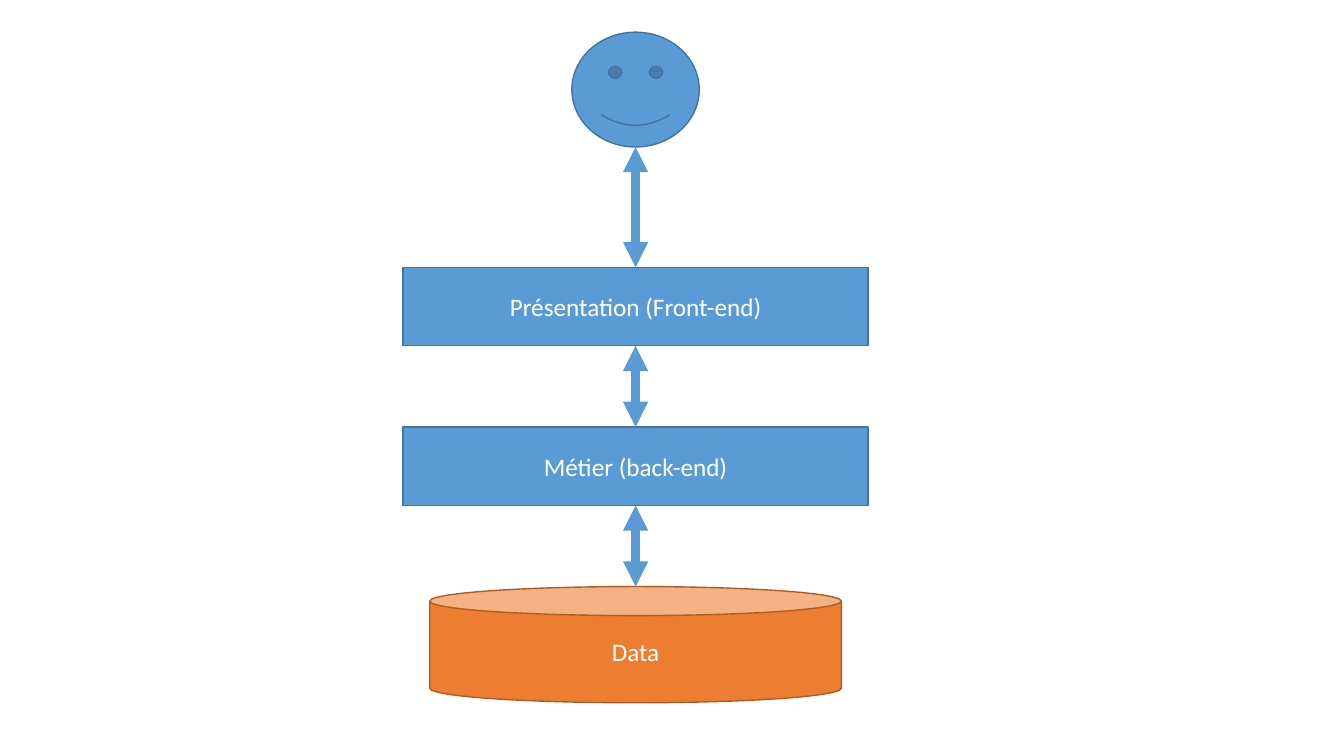
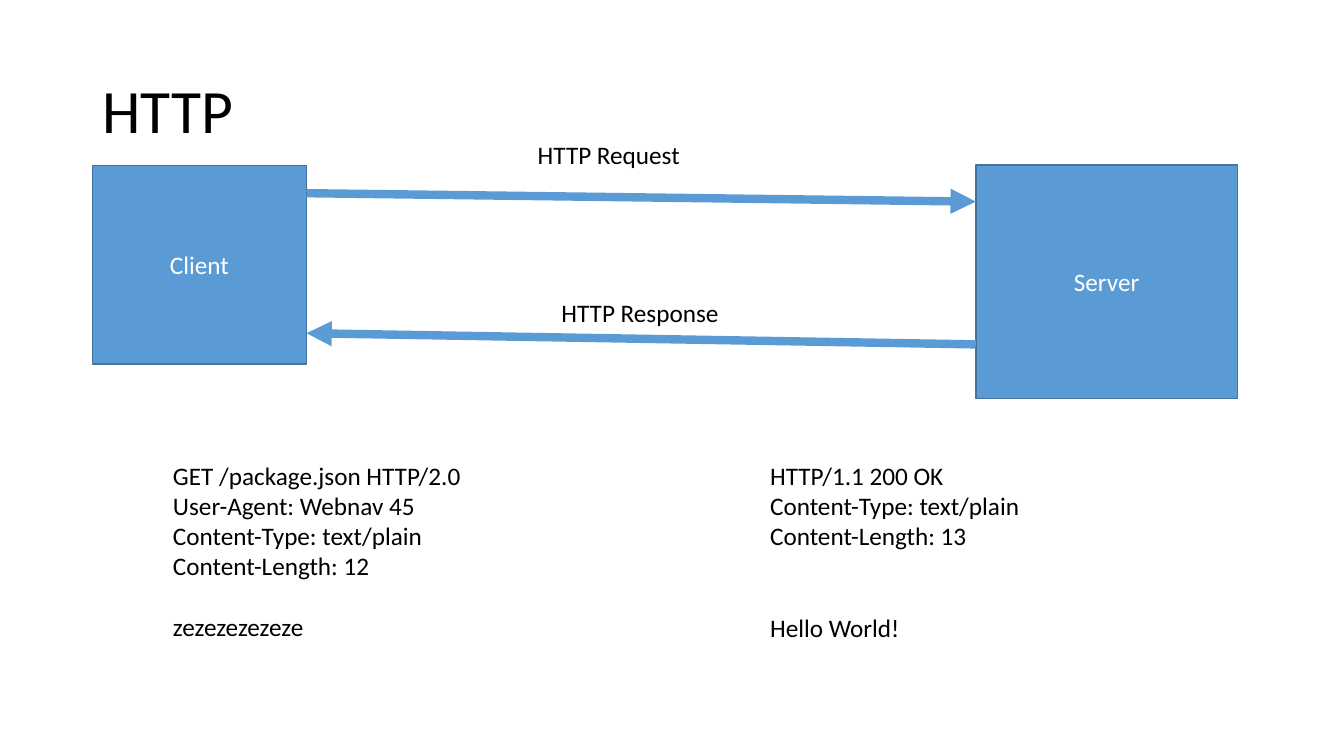
import pptx
import pptx.util
import pptx.dml.color
import pptx.enum.shapes
import pptx.enum.text
import pptx.oxml
import pptx.oxml.ns

Pt = pptx.util.Pt
SHAPE = pptx.enum.shapes.MSO_SHAPE
ALIGN = pptx.enum.text.PP_ALIGN
ANCHOR = pptx.enum.text.MSO_ANCHOR

FONT = "Calibri"
LINE_HEIGHT = 22
COLORS = {
    "blue": "5B9BD5", "blue_edge": "43739E",
    "orange": "ED7D31", "orange_edge": "AF5C24",
    "white": "FFFFFF", "black": "000000",
}

AXIS = 454
LAYERS = [
    (SHAPE.SMILEY_FACE, "", 23, 91, 82, "blue"),
    (SHAPE.RECTANGLE, "Présentation (Front-end)", 191, 332, 56, "blue"),
    (SHAPE.RECTANGLE, "Métier (back-end)", 305, 332, 56, "blue"),
    (SHAPE.CAN, "Data", 419, 294, 83, "orange"),
]

TITLE = ("HTTP", 66, 28.8, 828, 104.4)
HOSTS = [
    ("Client", 66, 118, 153, 142),
    ("Server", 697, 118, 187, 166.5),
]
MESSAGES = [
    ((219, 138), (697, 144)),
    ((697, 246), (219, 238)),
]
NOTES = [
    (377, 96, 117.5, 29, [("HTTP Request", 0)]),
    (394, 209, 128, 29, [("HTTP Response", 0)]),
    (116.5, 325, 222, 138, [
        ("GET /package.json HTTP/2.0", 0),
        ("User-Agent: Webnav 45", 0),
        ("Content-Type: text/plain", 0),
        ("Content-Length: 12", 0),
        ("zezezezezeze", 1),
    ]),
    (543, 325, 195, 138, [
        ("HTTP/1.1 200 OK", 0),
        ("Content-Type: text/plain", 0),
        ("Content-Length: 13", 0),
        ("Hello World!", 2),
    ]),
]


def rgb(name):
    return pptx.dml.color.RGBColor.from_string(COLORS[name])


def add_run(p, text, color, size=18):
    r = p.add_run()
    r.text = text
    r.font.name = FONT
    r.font.size = Pt(size)
    r.font.color.rgb = rgb(color)


def add_block(s, kind, text, x, y, w, h, color="blue"):
    sp = s.shapes.add_shape(kind, Pt(x), Pt(y), Pt(w), Pt(h))
    sp.shadow.inherit = False
    sp.fill.solid()
    sp.fill.fore_color.rgb = rgb(color)
    sp.line.color.rgb = rgb(color + "_edge")
    sp.line.width = Pt(1)
    if text:
        tf = sp.text_frame
        tf.vertical_anchor = ANCHOR.MIDDLE
        p = tf.paragraphs[0]
        p.alignment = ALIGN.CENTER
        add_run(p, text, "white")


def add_arrow(s, start, end, ends=("tailEnd",)):
    points = [Pt(v) for v in start + end]
    cx = s.shapes.add_connector(pptx.enum.shapes.MSO_CONNECTOR.STRAIGHT, *points)
    cx.line.color.rgb = rgb("blue")
    cx.line.width = Pt(6)
    ln = cx.line._get_or_add_ln()
    for end_name in ends:
        ln.append(pptx.oxml.parse_xml(
            f'<a:{end_name} {pptx.oxml.ns.nsdecls("a")} type="triangle"/>'))
    cx._element.spPr.append(pptx.oxml.parse_xml(
        f'<a:effectLst {pptx.oxml.ns.nsdecls("a")}/>'))


def add_note(s, x, y, w, h, lines):
    sp = s.shapes.add_textbox(Pt(x), Pt(y), Pt(w), Pt(h))
    tf = sp.text_frame
    tf.word_wrap = False
    for i, (text, gap) in enumerate(lines):
        p = tf.add_paragraph() if i else tf.paragraphs[0]
        p.space_before = Pt(gap * LINE_HEIGHT)
        add_run(p, text, "black")


def add_title(s, text, x, y, w, h):
    sp = s.shapes.title
    sp.left, sp.top, sp.width, sp.height = Pt(x), Pt(y), Pt(w), Pt(h)
    tf = sp.text_frame
    tf.vertical_anchor = ANCHOR.MIDDLE
    p = tf.paragraphs[0]
    p.alignment = ALIGN.LEFT
    p.line_spacing = 0.9
    add_run(p, text, "black", 44)


prs = pptx.Presentation()
prs.slide_width, prs.slide_height = Pt(960), Pt(540)

s = prs.slides.add_slide(prs.slide_layouts[6])
for kind, text, y, w, h, color in LAYERS:
    add_block(s, kind, text, AXIS - w / 2, y, w, h, color)
for upper, lower in zip(LAYERS, LAYERS[1:]):
    bottom = upper[2] + upper[4]
    add_arrow(s, (AXIS, bottom), (AXIS, lower[2]), ("headEnd", "tailEnd"))

s = prs.slides.add_slide(prs.slide_layouts[5])
add_title(s, *TITLE)
for host in HOSTS:
    add_block(s, SHAPE.RECTANGLE, *host)
for start, end in MESSAGES:
    add_arrow(s, start, end)
for note in NOTES:
    add_note(s, *note)

prs.save("out.pptx")
